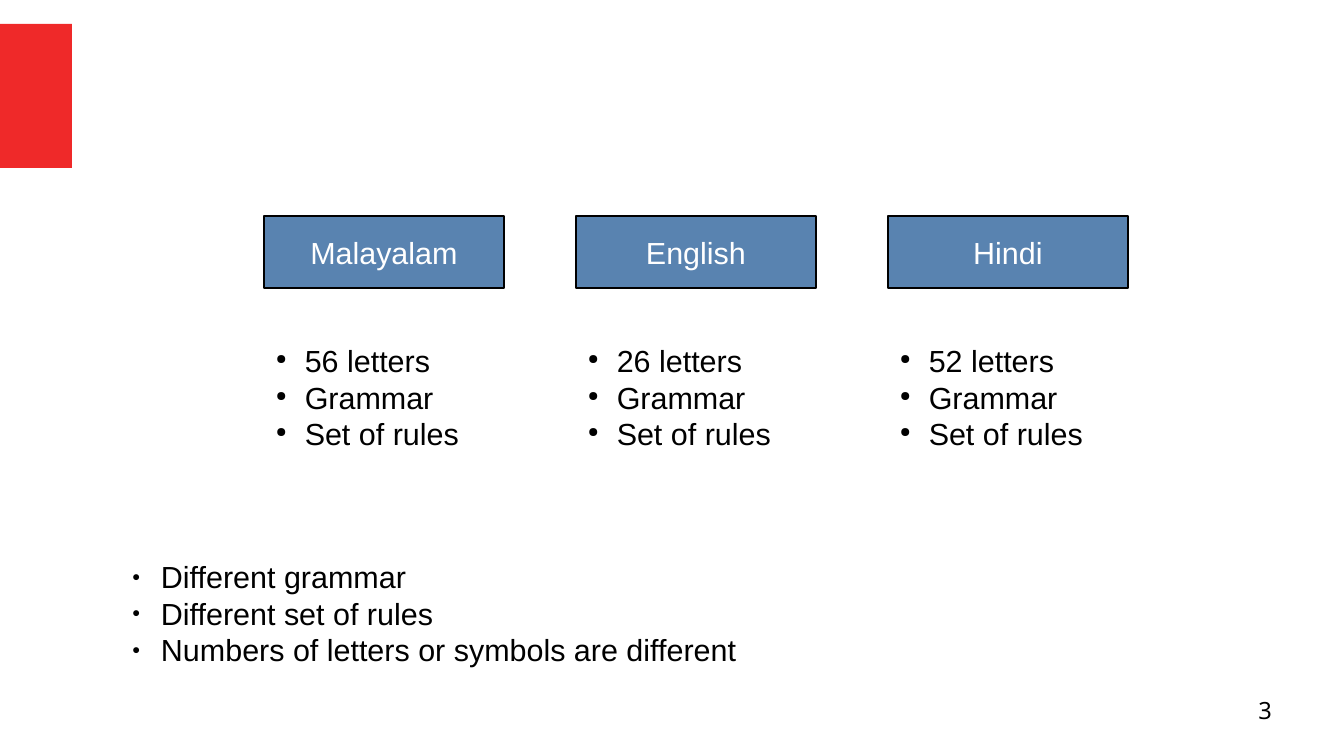
from dataclasses import dataclass

from lxml import etree
from pptx import Presentation
from pptx.dml.color import RGBColor
from pptx.enum.shapes import MSO_SHAPE
from pptx.enum.text import MSO_ANCHOR, MSO_AUTO_SIZE, PP_ALIGN
from pptx.oxml.ns import qn
from pptx.shapes.autoshape import Shape
from pptx.slide import Slide
from pptx.text.text import TextFrame, _Paragraph
from pptx.util import Cm, Pt

RECTANGLE = MSO_SHAPE.RECTANGLE
MIDDLE, TOP = MSO_ANCHOR.MIDDLE, MSO_ANCHOR.TOP
GROW = MSO_AUTO_SIZE.SHAPE_TO_FIT_TEXT
LEFT, CENTER, RIGHT = PP_ALIGN.LEFT, PP_ALIGN.CENTER, PP_ALIGN.RIGHT


@dataclass(frozen=True)
class Theme:
    accent: str = "EF2929"
    header: str = "5983B0"
    ink: str = "000000"
    paper: str = "FFFFFF"
    font: str = "Arial"
    number_font: str = "Noto Sans"
    text_size: float = 18
    number_size: float = 14
    outline: float = 0.85
    bullet_percent: int = 45
    bullet_indent: float = 0.6


@dataclass(frozen=True)
class Area:
    """A rectangle on the slide, in centimetres."""
    left: float
    top: float
    width: float
    height: float


@dataclass(frozen=True)
class Language:
    name: str
    letters: int


THEME = Theme()
LANGUAGES = (Language("Malayalam", 56), Language("English", 26), Language("Hindi", 52))
SHARED_TRAITS = ("Grammar", "Set of rules")
CONCLUSIONS = (
    "Different grammar",
    "Different set of rules",
    "Numbers of letters or symbols are different",
)
FIRST_COLUMN, COLUMN_STEP = 5.5, 6.5


def place(shape: Shape, area: Area) -> None:
    shape.left, shape.top = Cm(area.left), Cm(area.top)
    shape.width, shape.height = Cm(area.width), Cm(area.height)


def add_span(para: _Paragraph, text: str, color: str, font: str = THEME.font,
             size: float = THEME.text_size) -> None:
    span = para.add_run()
    span.text = text
    span.font.name = font
    span.font.size = Pt(size)
    span.font.color.rgb = RGBColor.from_string(color)


def add_bullet(para: _Paragraph) -> None:
    properties = para._p.get_or_add_pPr()
    indent = Cm(THEME.bullet_indent)
    properties.set("marL", str(indent))
    properties.set("indent", str(-indent))
    color = etree.SubElement(properties, qn("a:buClr"))
    etree.SubElement(color, qn("a:srgbClr"), val=THEME.ink)
    etree.SubElement(properties, qn("a:buSzPct"), val=str(THEME.bullet_percent * 1000))
    etree.SubElement(properties, qn("a:buChar"), char="●")


def fill_list(frame: TextFrame, items: tuple[str, ...]) -> None:
    frame.word_wrap = True
    frame.auto_size = GROW
    frame.vertical_anchor = TOP
    for index, item in enumerate(items):
        para = frame.add_paragraph() if index else frame.paragraphs[0]
        para.alignment = LEFT
        para.line_spacing = 1.0
        para.space_before = para.space_after = Pt(0)
        add_bullet(para)
        add_span(para, item, THEME.ink)


def add_box(page: Slide, area: Area, color: str) -> Shape:
    box = page.shapes.add_shape(RECTANGLE, 0, 0, 0, 0)
    place(box, area)
    box.shadow.inherit = False
    box.fill.solid()
    box.fill.fore_color.rgb = RGBColor.from_string(color)
    box.line.fill.background()
    return box


def add_text_box(page: Slide, area: Area) -> TextFrame:
    box = page.shapes.add_textbox(0, 0, 0, 0)
    place(box, area)
    box.text_frame.word_wrap = True
    return box.text_frame


def add_language(page: Slide, language: Language, left: float) -> None:
    header = add_box(page, Area(left, 4.5, 5, 1.5), THEME.header)
    header.line.color.rgb = RGBColor.from_string(THEME.ink)
    header.line.width = Pt(THEME.outline)
    frame = header.text_frame
    frame.word_wrap = False
    frame.vertical_anchor = MIDDLE
    frame.paragraphs[0].alignment = CENTER
    add_span(frame.paragraphs[0], language.name, THEME.paper)

    traits = (f"{language.letters} letters", *SHARED_TRAITS)
    fill_list(add_text_box(page, Area(left, 7, 5.5, 2.5)), traits)


def add_page_number(page: Slide, number: int) -> None:
    frame = add_text_box(page, Area(20, 14.5, 6.5, 1.1))
    frame.margin_left = frame.margin_right = 0
    frame.margin_top = frame.margin_bottom = 0
    para = frame.paragraphs[0]
    para.alignment = RIGHT
    add_span(para, str(number), THEME.ink, THEME.number_font, THEME.number_size)


def main() -> None:
    deck = Presentation()
    deck.slide_width, deck.slide_height = Cm(28), Cm(15.75)
    page = deck.slides.add_slide(deck.slide_layouts[1])
    page.background.fill.solid()
    page.background.fill.fore_color.rgb = RGBColor.from_string(THEME.paper)

    title = page.shapes.title.element
    title.getparent().remove(title)
    body = page.placeholders[1]
    place(body, Area(2.5, 11.5, 23, 2.4))
    fill_list(body.text_frame, CONCLUSIONS)

    add_box(page, Area(0, 0.5, 1.5, 3), THEME.accent)
    for column, language in enumerate(LANGUAGES):
        add_language(page, language, FIRST_COLUMN + column * COLUMN_STEP)
    add_page_number(page, 3)
    deck.save("out.pptx")


if __name__ == "__main__":
    main()
